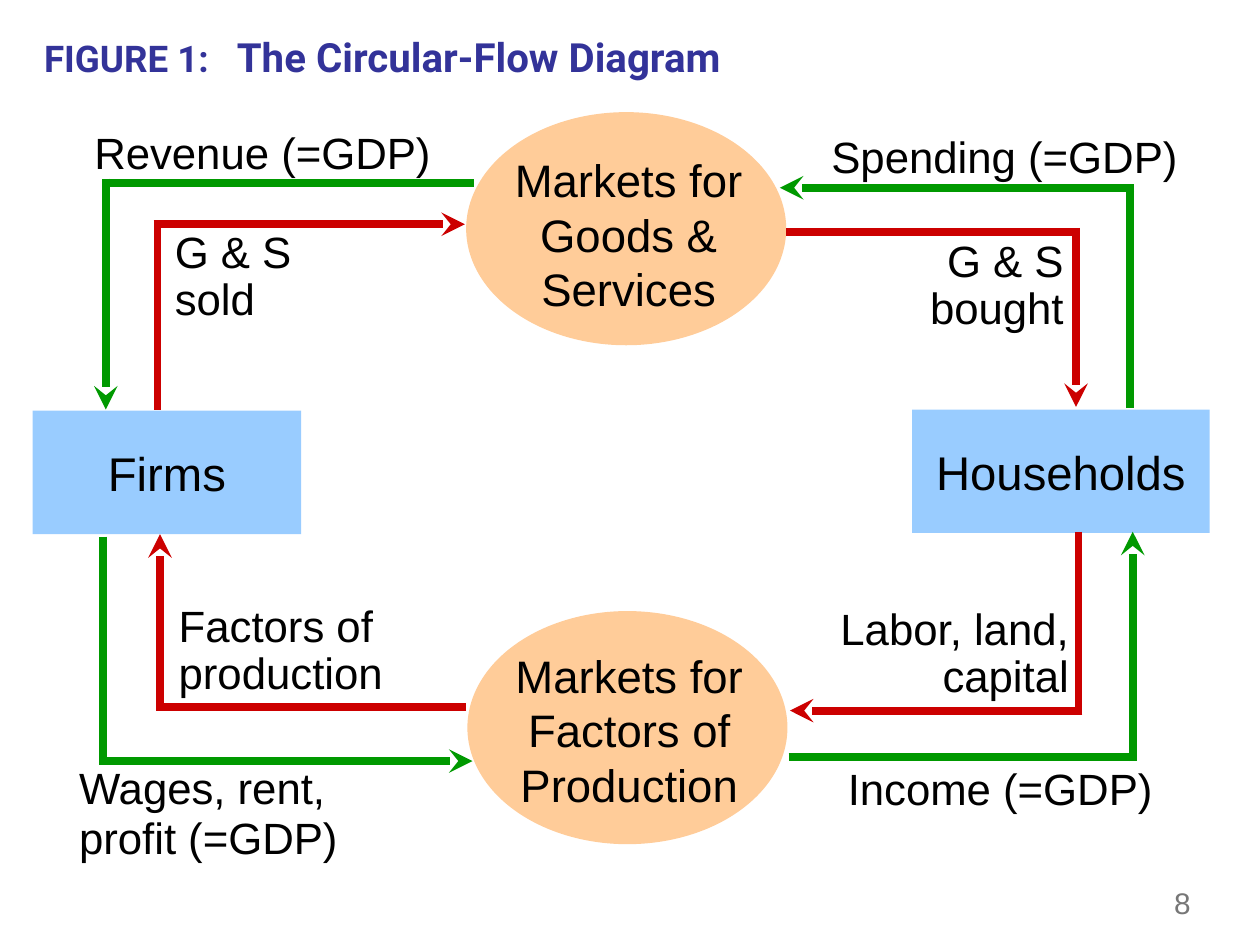
from lxml.etree import SubElement
from pptx import Presentation
from pptx.dml.color import RGBColor
from pptx.enum.shapes import MSO_CONNECTOR as Connector, MSO_SHAPE as Shape
from pptx.enum.text import MSO_ANCHOR as Anchor, MSO_AUTO_SIZE as AutoSize, PP_ALIGN as Align
from pptx.oxml.ns import qn
from pptx.util import Inches, Pt

COLUMNS, ROWS = 100, 75
CELL = Inches(0.1)
LINE_POINTS = 4.5
HALF_LINE = LINE_POINTS / 2 / 7.2
MONEY, GOODS = "009900", "CC0000"
MARKET, ACTOR = "FFCC99", "99CCFF"
INK, HEADING, MUTED = "000000", "333399", "777777"


def rgb(code):
    """Turn a hex string into a colour."""
    return RGBColor.from_string(code)


def grid(*cells):
    """Convert grid columns and rows to slide lengths."""
    return [round(cell * CELL) for cell in cells]


def style(font, size, color=INK, name="Arial", bold=False):
    """Format a font."""
    font.size, font.name, font.bold = Pt(size), name, bold
    font.color.rgb = rgb(color)


def write(frame, words, size, align, spacing=1.0, color=INK):
    """Fill a text frame with one formatted paragraph."""
    frame.word_wrap = True
    frame.text = words
    line = frame.paragraphs[0]
    line.alignment, line.line_spacing = align, spacing
    style(line.runs[0].font, size, color)


def add_label(slide, place, words, size=25, align=Align.LEFT, spacing=1.0, color=INK):
    """Add free-standing text."""
    label = slide.shapes.add_textbox(*grid(*place))
    write(label.text_frame, words, size, align, spacing, color)
    return label


def add_node(slide, kind, place, color):
    """Add a plain filled shape."""
    node = slide.shapes.add_shape(kind, *grid(*place))
    node.shadow.inherit = False
    node.fill.solid()
    node.fill.fore_color.rgb = rgb(color)
    node.line.fill.background()
    return node


def add_market(slide, place, words, words_place):
    """Add a market oval with its wider caption."""
    add_node(slide, Shape.OVAL, place, MARKET)
    add_label(slide, words_place, words, 26, Align.CENTER)


def add_actor(slide, place, words):
    """Add a rectangle for firms or households."""
    actor = add_node(slide, Shape.RECTANGLE, place, ACTOR)
    actor.text_frame.vertical_anchor = Anchor.MIDDLE
    write(actor.text_frame, words, 27, Align.CENTER)


def add_segment(slide, start, end, color, arrow=False):
    """Draw one straight part of a flow."""
    segment = slide.shapes.add_connector(Connector.STRAIGHT, *grid(*start, *end))
    segment.line.width = Pt(LINE_POINTS)
    segment.line.color.rgb = rgb(color)
    if arrow:
        SubElement(segment.line._get_or_add_ln(), qn("a:tailEnd"), type="stealth")
    SubElement(segment._element.spPr, qn("a:effectLst"))


def add_flow(slide, color, start, corner, end):
    """Draw a right-angled arrow with a square corner."""
    add_segment(slide, start, corner, color)
    overlap = [c + HALF_LINE * ((c > e) - (c < e)) for c, e in zip(corner, end)]
    add_segment(slide, overlap, end, color, arrow=True)


def add_title(slide, figure, name):
    """Set the figure number and name, parted by a tab stop."""
    title = slide.shapes.title
    title.left, title.top, title.width, title.height = grid(2.5, 1.5, 90, 6)
    frame = title.text_frame
    frame.auto_size, frame.vertical_anchor = AutoSize.NONE, Anchor.MIDDLE
    heading = frame.paragraphs[0]
    heading.alignment = Align.LEFT
    stops = SubElement(heading._p.get_or_add_pPr(), qn("a:tabLst"))
    SubElement(stops, qn("a:tab"), pos=str(Inches(1.53)), algn="l")
    for words, size in ((figure + "\t", 21), (name, 23)):
        run = heading.add_run()
        run.text = words
        style(run.font, size, HEADING, "Roboto", True)


def main():
    """Build the circular-flow slide."""
    deck = Presentation()
    deck.slide_width, deck.slide_height = grid(COLUMNS, ROWS)
    slide = deck.slides.add_slide(deck.slide_layouts[5])
    add_title(slide, "FIGURE 1:", "The Circular-Flow Diagram")

    add_market(slide, (37.1, 48.5, 25.4, 18.5), "Markets for Factors of Production",
               (36.7, 50.9, 26.5, 14))
    add_market(slide, (37, 8.9, 25.4, 18.5), "Markets for Goods & Services",
               (38, 11.6, 23.8, 14))
    add_actor(slide, (72.4, 32.5, 23.6, 9.8), "Households")
    add_actor(slide, (2.6, 32.6, 21.3, 9.8), "Firms")

    flows = [
        (MONEY, (62.6, 60.1), (89.9, 60.1), (89.9, 42.2)),
        (MONEY, (8.2, 42.6), (8.2, 60.4), (37.5, 60.4)),
        (GOODS, (37, 56.1), (12.7, 56.1), (12.7, 42.4)),
        (GOODS, (85.6, 42.2), (85.6, 56.4), (62.7, 56.4)),
        (MONEY, (89.7, 32.4), (89.7, 14.9), (61.9, 14.9)),
        (GOODS, (62.4, 18.4), (85.4, 18.4), (85.4, 32.3)),
        (GOODS, (12.5, 32.5), (12.5, 17.8), (36.9, 17.8)),
        (MONEY, (37.6, 14.5), (8.4, 14.5), (8.4, 32.5)),
    ]
    for flow in flows:
        add_flow(slide, *flow)

    labels = [
        ("Income (=GDP)", (66.3, 60, 27.9, 5.2), Align.LEFT, 1.0),
        ("Wages, rent, profit (=GDP)", (5.3, 60.2, 24.4, 8.9), Align.LEFT, 0.95),
        ("Factors of production", (13.2, 47.5, 21.9, 8.5), Align.LEFT, 0.9),
        ("Labor, land, capital", (63.9, 47.7, 21.9, 8.5), Align.RIGHT, 0.9),
        ("Spending (=GDP)", (65, 9.8, 31.6, 5.2), Align.LEFT, 1.0),
        ("G & S bought", (71.1, 18.5, 14.3, 8.5), Align.RIGHT, 0.9),
        ("G & S sold", (12.9, 17.8, 14.3, 8.5), Align.LEFT, 0.9),
        ("Revenue (=GDP)", (6.5, 9.5, 31.6, 5.2), Align.LEFT, 1.0),
    ]
    for words, place, align, spacing in labels:
        add_label(slide, place, words, align=align, spacing=spacing)

    page = add_label(slide, (92.2, 69.6, 6.7, 4.1), "8", 17, color=MUTED)
    page.text_frame.vertical_anchor = Anchor.MIDDLE
    deck.save("out.pptx")


if __name__ == "__main__":
    main()
